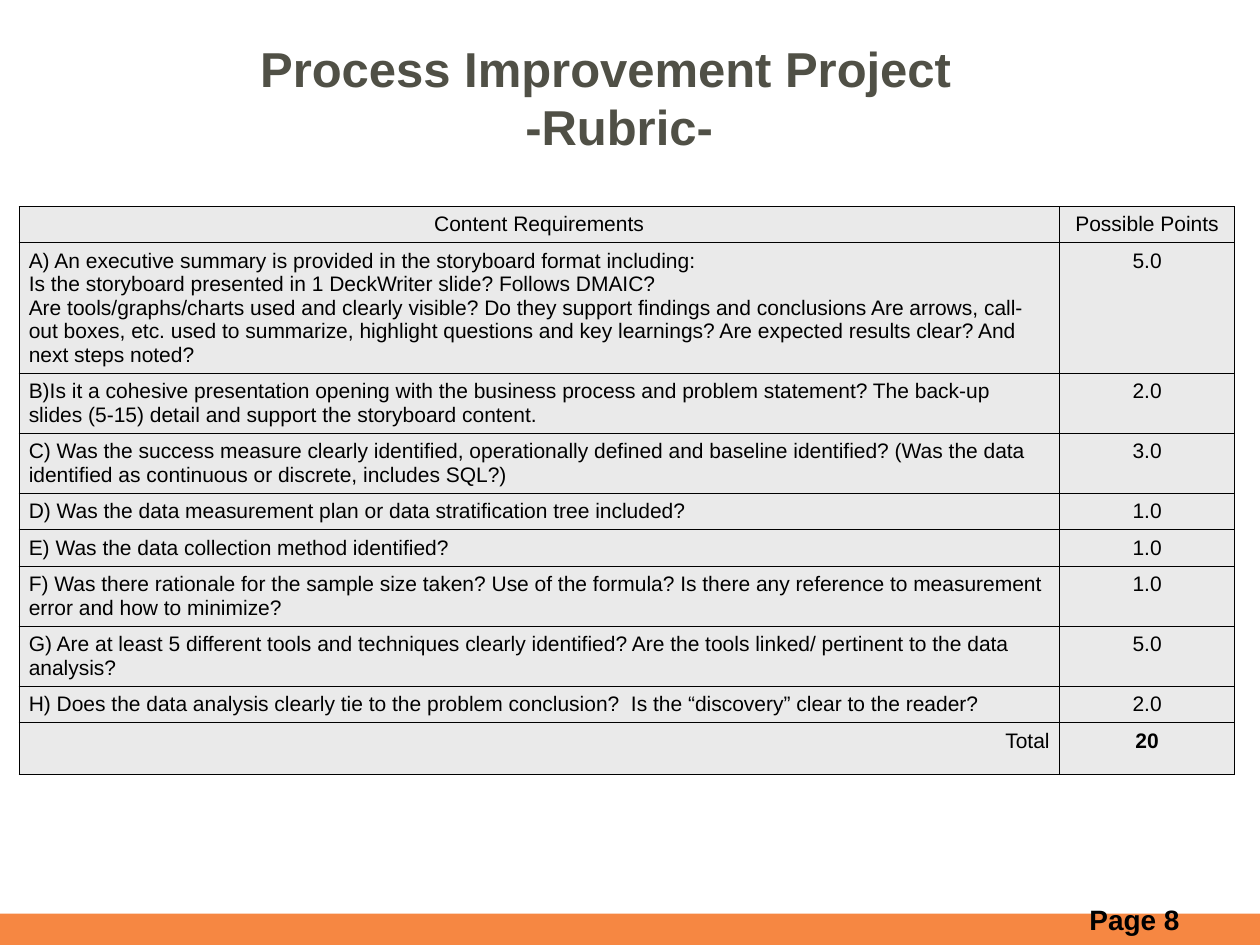
from lxml import etree
from pptx import Presentation
from pptx.dml.color import RGBColor
from pptx.enum.shapes import MSO_SHAPE
from pptx.enum.text import MSO_ANCHOR, PP_ALIGN
from pptx.oxml.ns import qn
from pptx.util import Cm, Pt

LEFT, CENTER, RIGHT = PP_ALIGN.LEFT, PP_ALIGN.CENTER, PP_ALIGN.RIGHT
MIDDLE, TOP = MSO_ANCHOR.MIDDLE, MSO_ANCHOR.TOP
RECTANGLE = MSO_SHAPE.RECTANGLE

ORANGE = RGBColor(0xF6, 0x87, 0x42)
GRAY = RGBColor(0xEA, 0xEA, 0xEA)
OLIVE = RGBColor(0x50, 0x50, 0x46)
BLACK = RGBColor(0x00, 0x00, 0x00)

FONT = "Arial"
BORDER_WIDTH = Pt(0.45)
POINTS_WIDTH = 3.53

# Criterion lines, points, row height in cm
CRITERIA = [
    (["A) An executive summary is provided in the storyboard format including: ",
      "Is the storyboard presented in 1 DeckWriter slide? Follows DMAIC?",
      "Are tools/graphs/charts used and clearly visible? Do they support findings and "
      "conclusions Are arrows, call-out boxes, etc. used to summarize, highlight questions "
      "and key learnings? Are expected results clear? And next steps noted?"], "5.0", 2.54),
    (["B)Is it a cohesive presentation opening with the business process and problem "
      "statement? The back-up slides (5-15) detail and support the storyboard content."],
     "2.0", 1.02),
    (["C) Was the success measure clearly identified, operationally defined and baseline "
      "identified? (Was the data identified as continuous or discrete, includes SQL?)"],
     "3.0", 1.02),
    (["D) Was the data measurement plan or data stratification tree included?"], "1.0", 0.5),
    (["E) Was the data collection method identified?"], "1.0", 0.5),
    (["F) Was there rationale for the sample size taken? Use of the formula? Is there any "
      "reference to measurement error and how to minimize?"], "1.0", 1.02),
    (["G) Are at least 5 different tools and techniques clearly identified? Are the tools "
      "linked/ pertinent to the data analysis?"], "5.0", 1.02),
    (["H) Does the data analysis clearly tie to the problem conclusion?  Is the “discovery” "
      "clear to the reader?"], "2.0", 0.5),
]


def add_run(paragraph, text, size, color=BLACK, bold=False):
    run = paragraph.add_run()
    run.text = text
    run.font.name = FONT
    run.font.size = Pt(size)
    run.font.bold = bold
    run.font.color.rgb = color


def add_text(slide, box, lines, size, color, anchor):
    """Place bold centred lines, one paragraph each."""
    text_frame = slide.shapes.add_textbox(*map(Cm, box)).text_frame
    text_frame.word_wrap = True
    text_frame.vertical_anchor = anchor
    for index, line in enumerate(lines):
        paragraph = text_frame.add_paragraph() if index else text_frame.paragraphs[0]
        paragraph.alignment = CENTER
        add_run(paragraph, line, size, color, bold=True)


def add_borders(cell):
    properties = cell._tc.get_or_add_tcPr()
    for side in ("a:lnL", "a:lnR", "a:lnT", "a:lnB"):
        line = etree.SubElement(properties, qn(side), w=str(BORDER_WIDTH))
        fill = etree.SubElement(line, qn("a:solidFill"))
        etree.SubElement(fill, qn("a:srgbClr"), val=str(BLACK))


def fill_cell(cell, lines, alignment, bold=False):
    cell.margin_left = cell.margin_right = Cm(0.2)
    cell.margin_top = cell.margin_bottom = Cm(0.13)
    add_borders(cell)
    cell.fill.solid()
    cell.fill.fore_color.rgb = GRAY
    paragraph = cell.text_frame.paragraphs[0]
    paragraph.alignment = alignment
    for index, line in enumerate(lines):
        if index:
            paragraph.add_line_break()
        add_run(paragraph, line, 12, bold=bold)


def add_rubric(slide, box):
    """Place the heading, the criteria and the total in one table."""
    rows = [(["Content Requirements"], "Possible Points", 0.5, CENTER, False)]
    rows += [(*criterion, LEFT, False) for criterion in CRITERIA]
    rows.append((["Total"], "20", 1.04, RIGHT, True))

    table = slide.shapes.add_table(len(rows), 2, *map(Cm, box)).table
    table.first_row = False
    table.horz_banding = False
    table.columns[0].width = Cm(box[2] - POINTS_WIDTH)
    table.columns[1].width = Cm(POINTS_WIDTH)
    for index, (lines, points, height, alignment, bold) in enumerate(rows):
        table.rows[index].height = Cm(height)
        fill_cell(table.cell(index, 0), lines, alignment)
        fill_cell(table.cell(index, 1), [points], CENTER, bold)


def add_footer(slide, box):
    """Place the band with the page number at its right end."""
    left, top, width, _ = box
    band = slide.shapes.add_shape(RECTANGLE, *map(Cm, box))
    band.shadow.inherit = False
    band.fill.solid()
    band.fill.fore_color.rgb = ORANGE
    band.line.fill.background()
    page_box = (left + width - 5.03, top - 0.36, 5, 0.94)
    add_text(slide, page_box, ["Page 8"], 16, BLACK, TOP)


def main():
    presentation = Presentation()
    presentation.slide_width = Cm(25.4)
    presentation.slide_height = Cm(19.05)
    slide = presentation.slides.add_slide(presentation.slide_layouts[6])

    add_rubric(slide, (0.38, 4.16, 24.51, 9.7))
    title = ["Process Improvement Project ", " -Rubric-"]
    add_text(slide, (1.55, 0.48, 21.59, 2.95), title, 28, OLIVE, MIDDLE)
    add_footer(slide, (0, 18.42, 25.4, 0.63))
    presentation.save("out.pptx")


if __name__ == "__main__":
    main()
